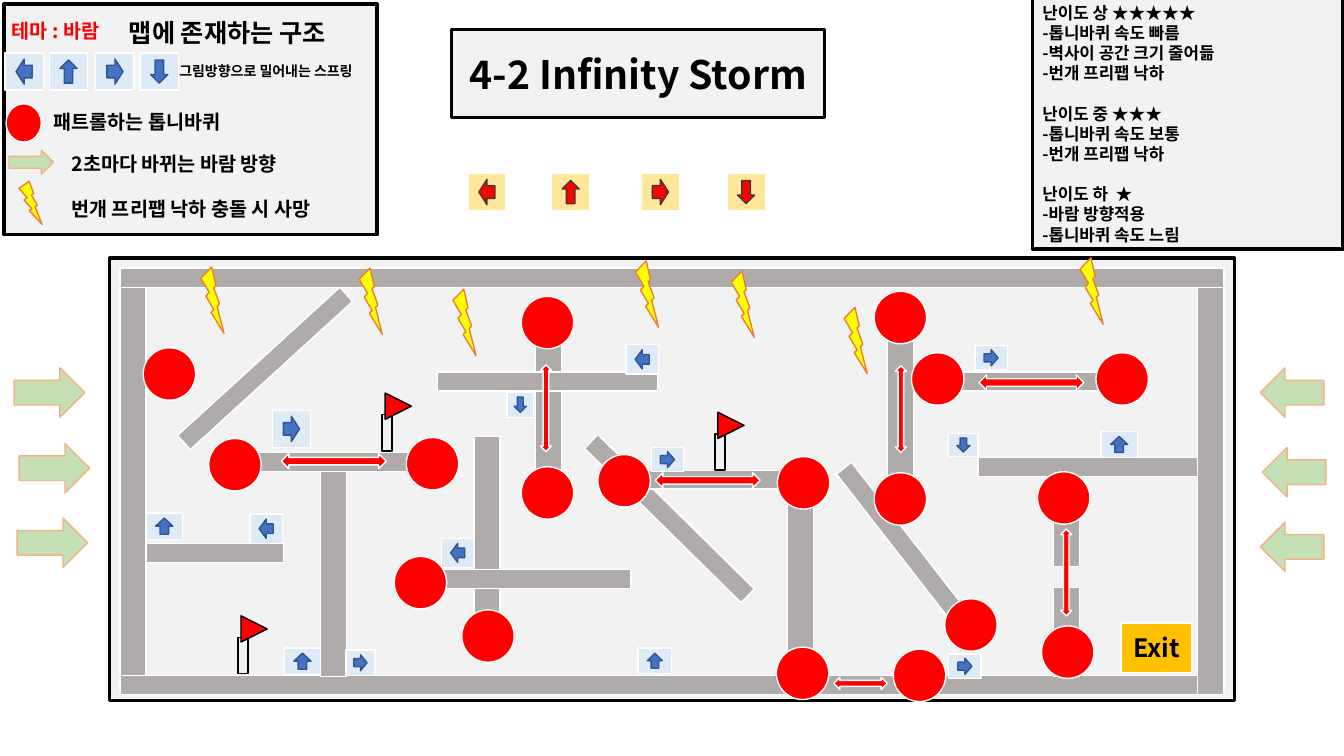
"""Build the map slide for stage 4-2 Infinity Storm, laid out on a grid of tenth-inch cells."""
from lxml.etree import SubElement
from pptx import Presentation
from pptx.dml.color import RGBColor
from pptx.enum.shapes import MSO_SHAPE as Kind
from pptx.enum.text import MSO_ANCHOR as Anchor, PP_ALIGN as Align
from pptx.oxml.ns import qn
from pptx.util import Inches, Pt

CELL = Inches(0.1)
COLS, ROWS = 133.3, 75
FONT = "Noto Sans CJK KR"
BLACK, WHITE, RED, PALE = "000000", "FFFFFF", "FF0000", "F2F2F2"
TURNS = {"up": 0, "right": 90, "down": 180, "left": 270}

deck = Presentation()
deck.slide_width, deck.slide_height = round(COLS * CELL), round(ROWS * CELL)
slide = deck.slides.add_slide(deck.slide_layouts[6])


def draw(kind, box, fill, line, weight=1, turn=0):
    """Add a filled, outlined shape at a box given in cells."""
    shape = slide.shapes.add_shape(kind, *(round(length * CELL) for length in box))
    shape.shadow.inherit = False
    shape.fill.solid()
    shape.fill.fore_color.rgb = RGBColor.from_string(fill)
    shape.line.color.rgb = RGBColor.from_string(line)
    shape.line.width = Pt(weight)
    shape.rotation = turn
    return shape


def write(paragraph, text, size, color=BLACK, align=Align.LEFT, stars=""):
    """Set one bold paragraph, optionally ending in regular-weight stars."""
    paragraph.text = text
    paragraph.alignment = align
    paragraph.line_spacing = Pt(size * 1.2)
    if stars:
        paragraph.add_run().text = stars
    for run in paragraph.runs:
        run.font.size, run.font.name = Pt(size), FONT
        run.font.bold = run.text != stars
        run.font.color.rgb = RGBColor.from_string(color)
        SubElement(run.font._element, qn("a:ea")).set("typeface", FONT)


legend_panel, arena, title, difficulty = [
    draw(Kind.RECTANGLE, box, PALE, BLACK, 2.25)
    for box in [(0.4, 0.4, 37, 22.9), (10.9, 25.6, 111.5, 43.9),
                (44.8, 2.9, 37, 8.8), (102.4, -0.2, 30.8, 24.9)]
]
write(title.text_frame.paragraphs[0], "4-2 Infinity Storm", 28, align=Align.CENTER)

levels = [
    ("난이도 상 ", "★★★★★", ["-톱니바퀴 속도 빠름", "-벽사이 공간 크기 줄어듦", "-번개 프리팹 낙하"]),
    ("난이도 중 ", "★★★", ["-톱니바퀴 속도 보통", "-번개 프리팹 낙하"]),
    ("난이도 하  ", "★", ["-바람 방향적용", "-톱니바퀴 속도 느림"]),
]
rules = difficulty.text_frame
rules.word_wrap, rules.vertical_anchor = True, Anchor.MIDDLE
for number, (level, stars, traits) in enumerate(levels):
    heading = rules.add_paragraph() if number else rules.paragraphs[0]
    write(heading, level, 12, stars=stars)
    heading.space_before = Pt(14.4 if number else 0)
    for trait in traits:
        write(rules.add_paragraph(), trait, 12)

walls = [
    (11.9, 26.6, 2.6, 42.3, 0), (11.9, 67, 109.5, 1.9, 0),
    (118.8, 26.6, 2.6, 42.3, 0), (11.9, 26.6, 109.5, 1.9, 0),
    (14.5, 53.9, 13.6, 1.9, 0), (31.8, 46.8, 2.6, 20.3, 0),
    (53.1, 30.8, 2.6, 19.3, 0), (43.4, 36.9, 21.8, 1.9, 0),
    (104.5, 47.4, 2.6, 8.8, 0), (104.5, 58.3, 2.6, 8.8, 0),
    (97, 45.4, 21.8, 1.9, 0), (88, 30.2, 2.6, 20.3, 0),
    (47, 43.3, 2.6, 20.3, 0), (15.4, 35.6, 21.8, 1.9, 317.6),
    (55.5, 50.5, 21.8, 1.9, 224.6), (90.6, 36.9, 21.8, 1.9, 0),
    (78.1, 46.5, 2.6, 20.3, 0), (60.5, 46.7, 20.3, 1.8, 0),
    (79.5, 54.1, 21.8, 1.9, 52.1), (40.8, 56.5, 21.8, 1.9, 0),
    (22.1, 44.9, 21.8, 1.9, 0),
]
for *box, turn in walls:
    draw(Kind.RECTANGLE, box, "AFABAB", WHITE, turn=turn)

exit_door = draw(Kind.RECTANGLE, (111.2, 61.8, 7, 4.9), "FFC000", WHITE)
write(exit_door.text_frame.paragraphs[0], "Exit", 18, align=Align.CENTER)

saws = [
    (51.7, 29.4), (86.7, 28.9), (77.1, 45.3), (51.7, 46.3), (86.7, 46.9),
    (102.9, 46.8), (103.3, 62.1), (59.3, 45.1), (40.3, 43.4), (20.7, 43.5),
    (14.2, 34.5), (108.7, 35), (90.4, 35), (93.7, 59.4), (77, 64.2),
    (88.6, 64.4), (45.8, 60.5), (39.1, 55.2),
]
for left, top in saws:
    draw(Kind.OVAL, (left, top, 5.2, 5.2), RED, WHITE)
draw(Kind.OVAL, (0.6, 10.3, 3.5, 3.8), RED, WHITE)

patrols = [
    (27.9, 45, 10.4, 1.5), (65, 46.9, 10.4, 1.5), (97.1, 37.2, 10.4, 1.5),
    (82.7, 67.2, 5.3, 1.2), (105.2, 52.5, 1.1, 8.6), (88.8, 36.3, 1.1, 8.6),
    (53.6, 36.2, 1.1, 8.6),
]
for box in patrols:
    wide = box[2] > box[3]
    draw(Kind.LEFT_RIGHT_ARROW if wide else Kind.UP_DOWN_ARROW, box, RED, WHITE)

BLUE_SPRING = ("DEEBF7", "4472C4", "325491")
RED_SPRING = ("FFE699", RED, "3B3838")
springs = [
    ("up", 28.2, 64.3, 3.6, 2.6, 1.7, 1.6), ("up", 14.5, 50.9, 3.6, 2.6, 1.7, 1.6),
    ("up", 109.2, 42.8, 3.6, 2.6, 1.7, 1.6), ("up", 63.3, 64.3, 3.3, 2.5, 1.5, 1.5),
    ("right", 27, 40.7, 3.8, 3.7, 2.5, 1.6), ("right", 64.6, 44.4, 3.2, 2.4, 1.6, 1.4),
    ("right", 96.7, 34.3, 3.2, 2.4, 1.6, 1.4), ("right", 94.1, 64.9, 3.2, 2.4, 1.6, 1.4),
    ("right", 34.3, 64.5, 2.9, 2.5, 1.6, 1.3), ("down", 50.3, 38.9, 2.6, 2.5, 1.2, 1.5),
    ("down", 94.1, 43, 2.9, 2.3, 1.3, 1.4), ("left", 24.8, 51, 3.2, 2.9, 1.9, 1.4),
    ("left", 43.8, 53.4, 3.2, 2.9, 1.9, 1.4), ("left", 62.1, 34.2, 3.2, 2.9, 1.9, 1.4),
]
sets = [(BLUE_SPRING, spring) for spring in springs]
samples = [(BLUE_SPRING, 5.25, (0.5, 4.9, 9.5, 13.9)),
           (RED_SPRING, 17.2, (46.4, 54.7, 63.6, 72.1))]
for colors, top, lefts in samples:
    for way, left in zip(("left", "up", "right", "down"), lefts):
        arrow_size = (1.7, 2.3) if way in ("up", "down") else (2.5, 1.6)
        sets.append((colors, (way, left, top, 3.8, 3.7, *arrow_size)))
for (pad, arrow, edge), (way, left, top, width, height, span, rise) in sets:
    draw(Kind.RECTANGLE, (left, top, width, height), pad, WHITE)
    centred = (left + (width - span) / 2, top + (height - rise) / 2, span, rise)
    draw(Kind.UP_ARROW, centred, arrow, edge, turn=TURNS[way])

winds = [
    (1.4, 36.5, 7, 4.9, 0), (1.9, 44, 7, 4.9, 0), (1.7, 51.4, 7, 4.9, 0),
    (125, 36.5, 6.3, 4.9, 180), (125.2, 44.4, 6.3, 4.9, 180),
    (125, 51.8, 6.3, 4.9, 180), (0.9, 14.9, 4.4, 2.4, 0),
]
for *box, turn in winds:
    draw(Kind.RIGHT_ARROW, box, "C5E0B4", "F4B183", turn=turn)

strikes = [(19.8, 26.5), (44.8, 28.7), (62.9, 25.9), (107, 25.6),
           (83.6, 30.5), (35.5, 26.6), (72.4, 26.9)]
bolts = [(left, top, 2.6, 6.5) for left, top in strikes] + [(1.8, 18, 2.5, 4.2)]
for box in bolts:
    draw(Kind.LIGHTNING_BOLT, box, "FFFF00", "ED7D31", turn=3.2)

for left, top in [(23.6, 61.1), (70.9, 40.9), (37.9, 39)]:
    draw(Kind.RECTANGLE, (left, top + 2.15, 1, 3.6), PALE, BLACK)
    draw(Kind.ISOSCELES_TRIANGLE, (left + 0.3, top, 2.6, 2.6), RED, BLACK, turn=90)

captions = [
    ("테마 : 바람", 14, RED, (0.2, 1.4, 14.6, 3.4)),
    ("맵에 존재하는 구조", 18, BLACK, (11.8, 1.2, 24, 4)),
    ("그림방향으로 밀어내는 스프링", 10, BLACK, (16.8, 5.7, 21.2, 2.7)),
    ("패트롤하는 톱니바퀴", 14, BLACK, (4.3, 10.4, 32.2, 3.4)),
    ("2초마다 바뀌는 바람 방향", 14, BLACK, (6.1, 14.6, 24.8, 3.4)),
    ("번개 프리팹 낙하 충돌 시 사망", 14, BLACK, (6.1, 19, 29, 3.4)),
]
for text, size, color, box in captions:
    caption = slide.shapes.add_textbox(*(round(length * CELL) for length in box))
    caption.text_frame.word_wrap = True
    write(caption.text_frame.paragraphs[0], text, size, color)

deck.save("out.pptx")
